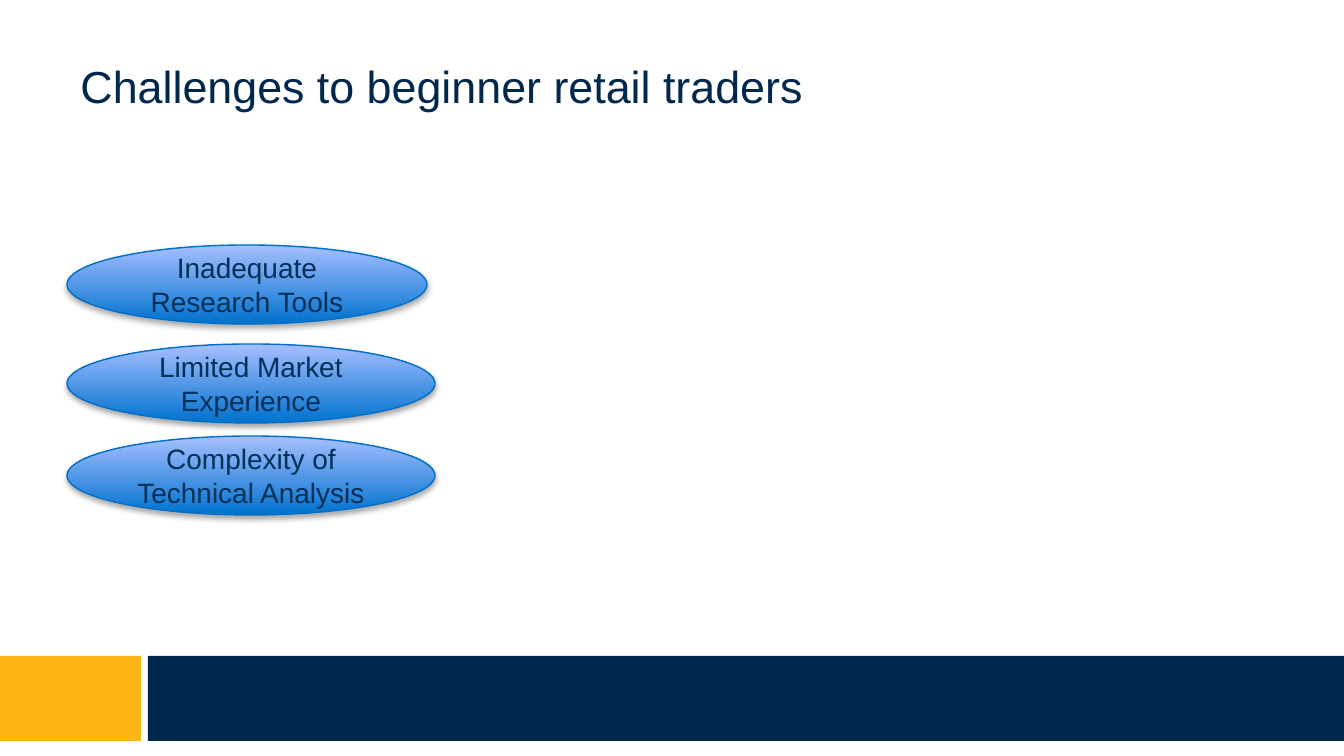
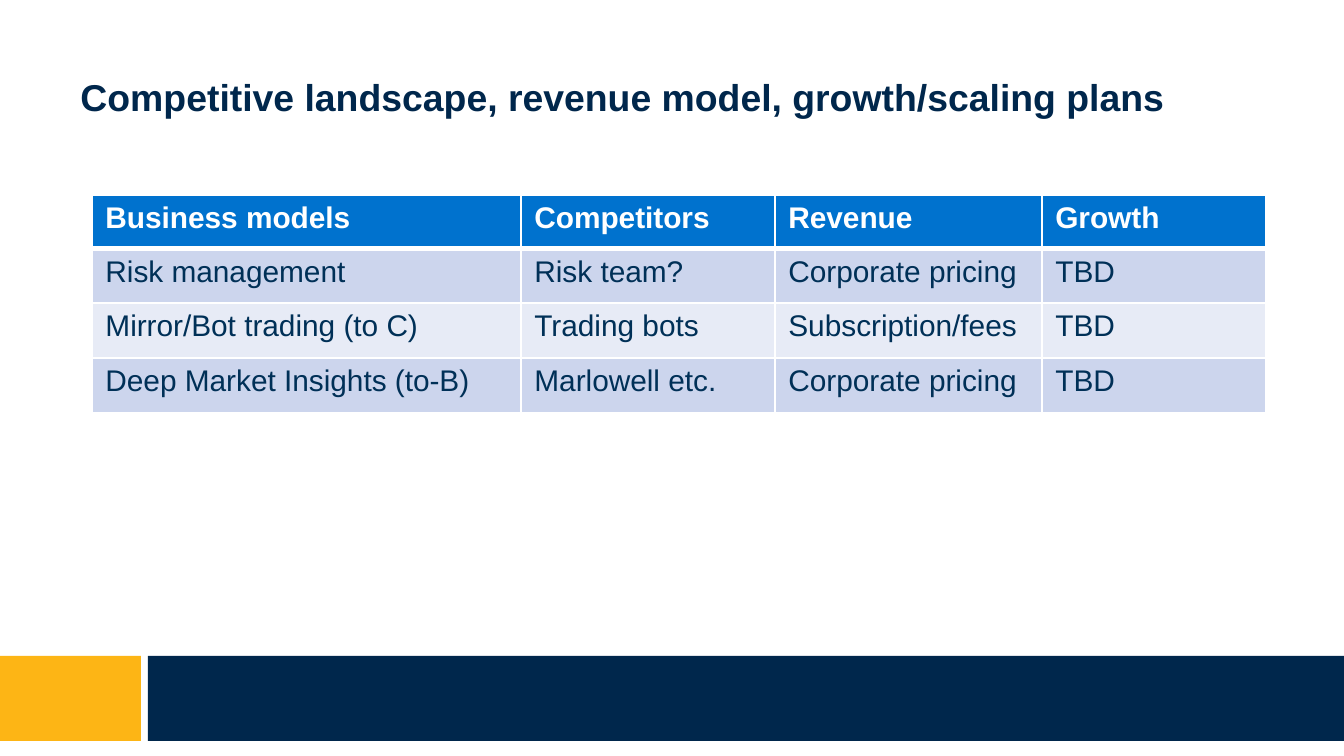
from lxml import etree
from pptx import Presentation
from pptx.dml.color import RGBColor
from pptx.enum.shapes import MSO_SHAPE
from pptx.enum.text import MSO_ANCHOR, MSO_AUTO_SIZE, PP_ALIGN
from pptx.oxml.ns import qn
from pptx.util import Emu, Pt

RECTANGLE, OVAL = MSO_SHAPE.RECTANGLE, MSO_SHAPE.OVAL
LEFT, CENTER = PP_ALIGN.LEFT, PP_ALIGN.CENTER
MIDDLE = MSO_ANCHOR.MIDDLE
NO_AUTOFIT = MSO_AUTO_SIZE.NONE

EMU_PER_PX = 914400 / 134.4
PAGE_WIDTH, PAGE_HEIGHT = 1344, 756
TITLE_ONLY = 5
FONT = "Arial"

NAVY, GOLD, WHITE = "00274C", "FDB515", "FFFFFF"
INK, BLUE, SKY, OUTLINE = "003057", "0072CE", "A6BFFF", "006FC9"
ROW_FILLS = ("CCD5ED", "E7EBF6")

MARGIN = 67
BAND_TOP, BAND_HEIGHT = 656, 85
GOLD_WIDTH, NAVY_LEFT = 141, 148

OVAL_HEIGHT = 79
CHALLENGES = [  # text, top, width
    ("Inadequate Research Tools", 245, 360),
    ("Limited Market Experience", 344, 368),
    ("Complexity of Technical Analysis", 436, 368),
]

COLUMN_WIDTHS = (429, 254, 267, 224)
ROW_HEIGHTS = (54, 54, 55, 55)
BUSINESS_ROWS = [
    ("Business models", "Competitors", "Revenue", "Growth"),
    ("Risk management", "Risk team?", "Corporate pricing", "TBD"),
    ("Mirror/Bot trading (to C)", "Trading bots", "Subscription/fees", "TBD"),
    ("Deep Market Insights (to-B)", "Marlowell etc.", "Corporate pricing", "TBD"),
]


def px(length):
    return Emu(round(length * EMU_PER_PX))


def color(value):
    return RGBColor.from_string(value)


def write(frame, text, size, ink, bold=False, align=LEFT):
    para = frame.paragraphs[0]
    para.alignment = align
    span = para.add_run()
    span.text = text
    span.font.name = FONT
    span.font.size = Pt(size)
    span.font.bold = bold
    span.font.color.rgb = color(ink)


def add_box(page, preset, left, top, width, height):
    box = page.shapes.add_shape(preset, px(left), px(top), px(width), px(height))
    box.shadow.inherit = False
    return box


def add_band(page, left, width, fill):
    band = add_box(page, RECTANGLE, left, BAND_TOP, width, BAND_HEIGHT)
    band.fill.solid()
    band.fill.fore_color.rgb = color(fill)
    band.line.fill.background()


def add_page(deck, title, size, width, height, bold=False):
    """Add a slide with its title and the two bottom bands."""
    page = deck.slides.add_slide(deck.slide_layouts[TITLE_ONLY])
    add_band(page, NAVY_LEFT, PAGE_WIDTH - NAVY_LEFT, NAVY)
    add_band(page, 0, GOLD_WIDTH, GOLD)
    heading = page.shapes.title
    heading.left, heading.top = px(MARGIN), px(50)
    heading.width, heading.height = px(width), px(height)
    frame = heading.text_frame
    frame.auto_size = NO_AUTOFIT
    frame.vertical_anchor = MIDDLE
    write(frame, title, size, NAVY, bold)
    return page


def add_soft_shadow(box):
    effects = box.element.spPr.find(qn("a:effectLst"))
    shadow = etree.SubElement(effects, qn("a:outerShdw"), blurRad="40000",
                              dist="23000", dir="5400000", rotWithShape="0")
    tint = etree.SubElement(shadow, qn("a:srgbClr"), val="000000")
    etree.SubElement(tint, qn("a:alpha"), val="35000")


def add_challenge(page, text, top, width):
    oval = add_box(page, OVAL, MARGIN, top, width, OVAL_HEIGHT)
    oval.fill.gradient()
    oval.fill.gradient_angle = 90
    for stop, shade in zip(oval.fill.gradient_stops, (BLUE, SKY)):
        stop.color.rgb = color(shade)
    oval.line.color.rgb = color(OUTLINE)
    oval.line.width = Pt(0.75)
    add_soft_shadow(oval)
    frame = oval.text_frame
    frame.word_wrap = True
    frame.vertical_anchor = MIDDLE
    write(frame, text, 15, INK, align=CENTER)


def set_borders(cell, top, bottom):
    """Draw white borders; the top and bottom widths are in points."""
    properties = cell._tc.get_or_add_tcPr()
    for side, width in (("L", 1), ("R", 1), ("T", top), ("B", bottom)):
        line = etree.SubElement(properties, qn(f"a:ln{side}"), w=str(Pt(width)))
        fill = etree.SubElement(line, qn("a:solidFill"))
        etree.SubElement(fill, qn("a:srgbClr"), val=WHITE)


def add_business_table(page, left, top):
    frame = page.shapes.add_table(
        len(BUSINESS_ROWS), len(COLUMN_WIDTHS), px(left), px(top),
        px(sum(COLUMN_WIDTHS)), px(sum(ROW_HEIGHTS)))
    table = frame.table
    for column, width in zip(table.columns, COLUMN_WIDTHS):
        column.width = px(width)
    for index, texts in enumerate(BUSINESS_ROWS):
        row = table.rows[index]
        row.height = px(ROW_HEIGHTS[index])
        header = index == 0
        for cell, text in zip(row.cells, texts):
            set_borders(cell, 3 if index == 1 else 1, 3 if header else 1)
            cell.fill.solid()
            fill = BLUE if header else ROW_FILLS[(index - 1) % 2]
            cell.fill.fore_color.rgb = color(fill)
            write(cell.text_frame, text, 16, WHITE if header else INK, header)


def main():
    deck = Presentation()
    deck.slide_width, deck.slide_height = px(PAGE_WIDTH), px(PAGE_HEIGHT)

    page = add_page(deck, "Challenges to beginner retail traders", 24, 1199, 71)
    for text, top, width in CHALLENGES:
        add_challenge(page, text, top, width)

    page = add_page(deck, "Competitive landscape, revenue model, growth/scaling plans",
                    20, 1223, 93, bold=True)
    add_business_table(page, 92, 195)

    deck.save("out.pptx")


if __name__ == "__main__":
    main()
